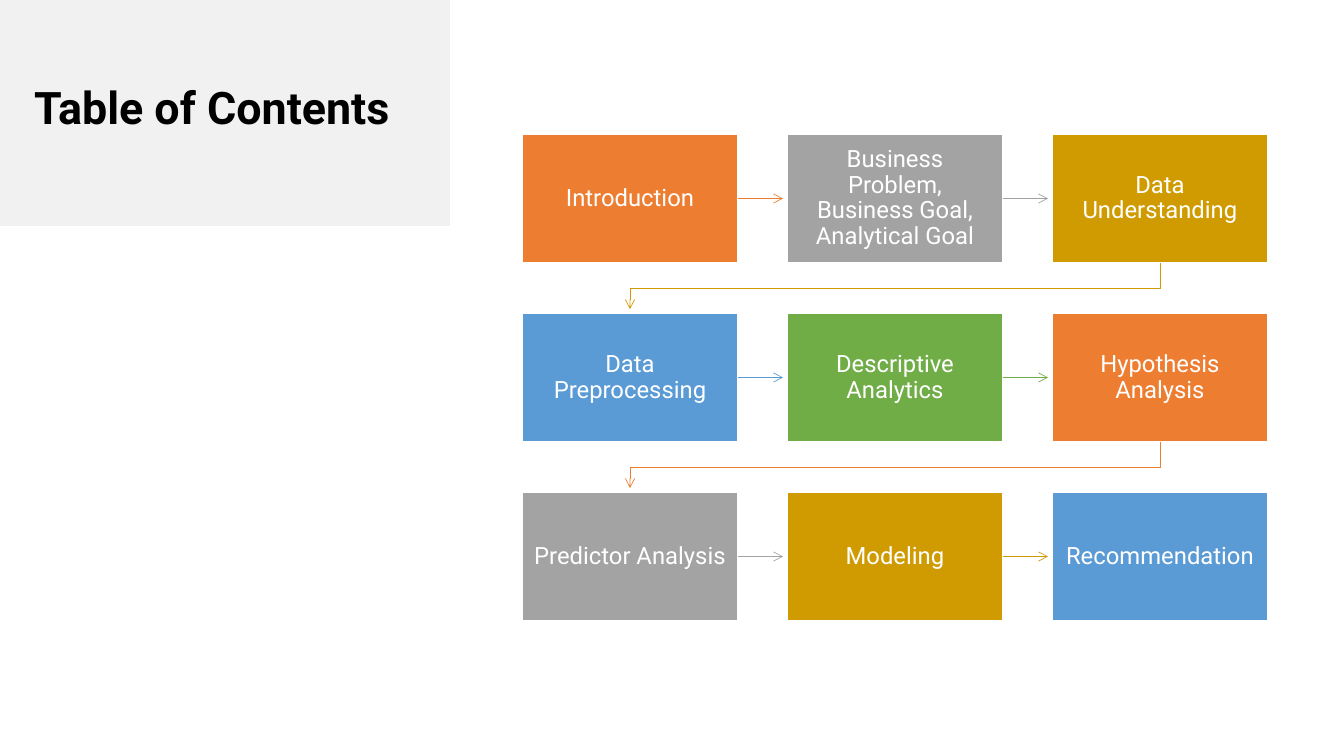
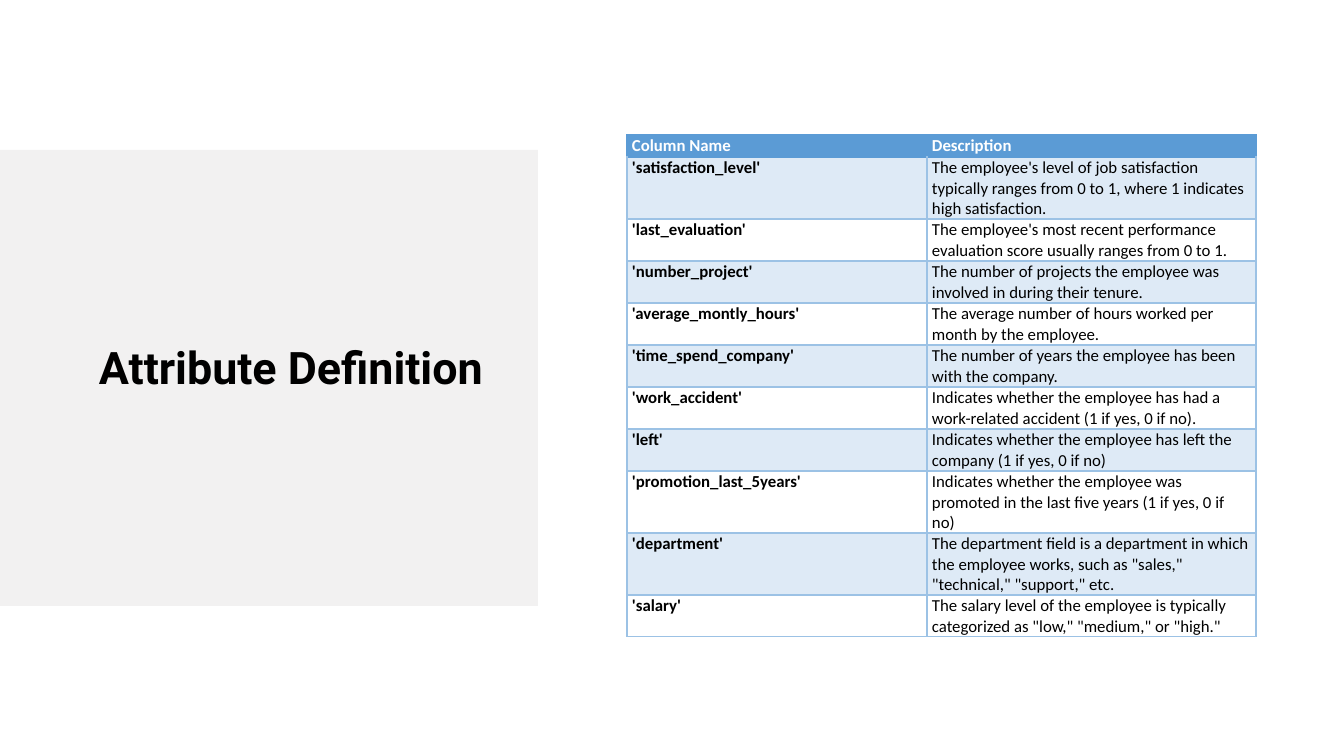
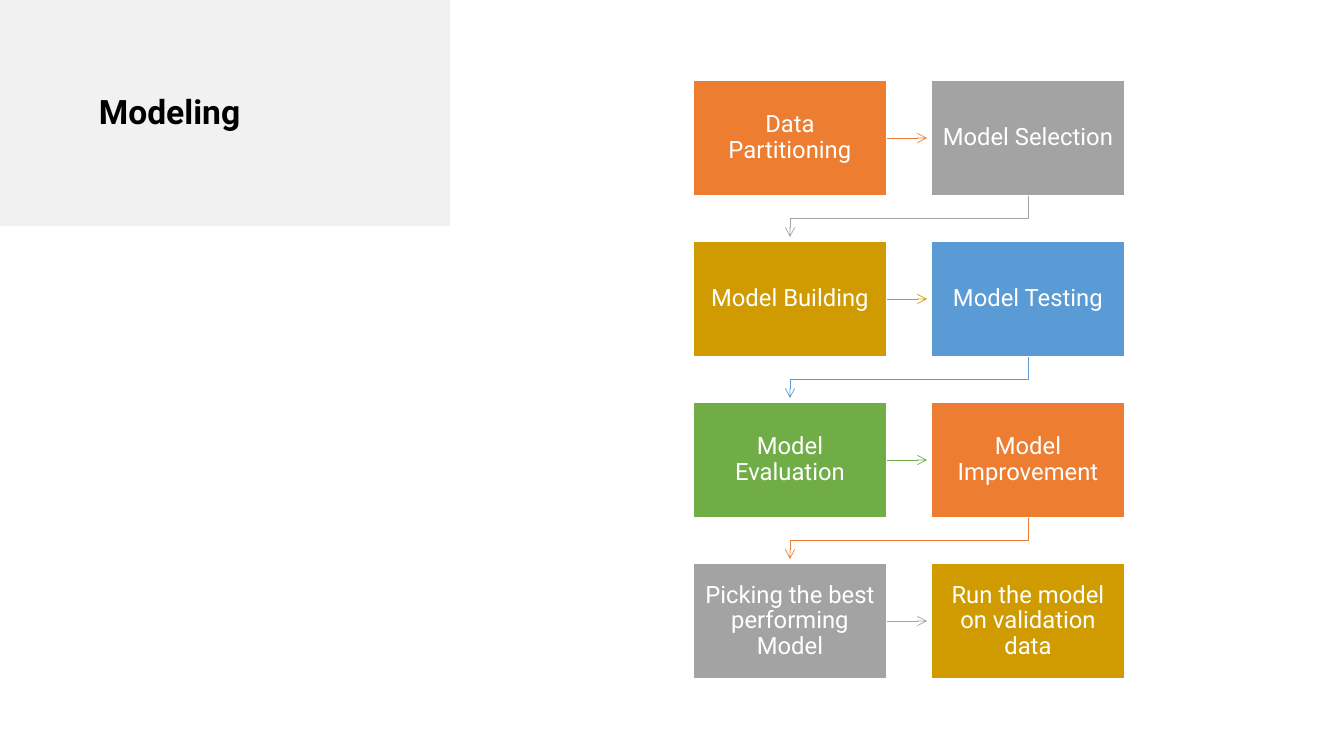
from itertools import cycle

from pptx import Presentation
from pptx.dml.color import RGBColor
from pptx.enum.shapes import MSO_CONNECTOR, MSO_SHAPE
from pptx.enum.text import MSO_ANCHOR, PP_ALIGN
from pptx.oxml.ns import qn
from pptx.util import Pt
from lxml.etree import SubElement

PX = 9071  # EMU per pixel
COLORS = {name: RGBColor.from_string(value) for name, value in {
    "white": "FFFFFF", "black": "000000", "panel": "F2F1F1",
    "orange": "ED7D31", "grey": "A3A3A3", "gold": "CF9B00",
    "blue": "5B9BD5", "green": "70AD47",
    "band": "DEEAF6", "grid": "9CC2E5",
}.items()}
STEP_COLORS = ["orange", "grey", "gold", "blue", "green"]
ARROW_GAP = 4

deck = Presentation()
deck.slide_width, deck.slide_height = 1344 * PX, 756 * PX
blank = deck.slide_layouts[6]


def add_titled_page(title, size, panel, frame, anchor, align=PP_ALIGN.LEFT):
    """Add a page with a grey panel and a bold title; panel and frame are in px."""
    page = deck.slides.add_slide(blank)
    back = page.shapes.add_shape(MSO_SHAPE.RECTANGLE, *[n * PX for n in panel])
    back.shadow.inherit = False
    back.fill.solid()
    back.fill.fore_color.rgb = COLORS["panel"]
    back.line.fill.background()
    box = page.shapes.add_textbox(*[n * PX for n in frame])
    box.text_frame.word_wrap = True
    box.text_frame.vertical_anchor = anchor
    para = box.text_frame.paragraphs[0]
    para.text = title
    para.alignment = align
    para.line_spacing = 0.9
    para.font.name, para.font.size, para.font.bold = "Roboto", Pt(size), True
    para.font.color.rgb = COLORS["black"]
    return page


def style_arrow(arrow, color):
    arrow.line.color.rgb = COLORS[color]
    arrow.line.width = Pt(0.5)
    properties = arrow.element.spPr
    SubElement(properties.find(qn("a:ln")), qn("a:tailEnd"), type="arrow")
    if properties.find(qn("a:effectLst")) is None:
        SubElement(properties, qn("a:effectLst"))


corner = (0, 0, 450, 226)
contents_page = add_titled_page("Table of Contents", 32, corner, (14, 19, 396, 182),
                                MSO_ANCHOR.MIDDLE, PP_ALIGN.CENTER)
attributes_page = add_titled_page("Attribute Definition", 32, (0, 150, 538, 456),
                                  (89, 227, 408, 172), MSO_ANCHOR.BOTTOM)
modeling_page = add_titled_page("Modeling", 24, corner, (89, 39, 316, 149),
                                MSO_ANCHOR.MIDDLE)

# Step flows: page, columns, first corner, box size, pitch, insets, steps
flows = [
    (contents_page, 3, (522, 134), (216, 129), (265, 179), (10, 11), [
        "Introduction", "Business Problem, Business Goal, Analytical Goal",
        "Data Understanding", "Data Preprocessing", "Descriptive Analytics",
        "Hypothesis Analysis", "Predictor Analysis", "Modeling", "Recommendation"]),
    (modeling_page, 2, (693, 80), (194, 116), (238, 161), (9, 10), [
        "Data Partitioning", "Model Selection", "Model Building", "Model Testing",
        "Model Evaluation", "Model Improvement", "Picking the best performing Model",
        "Run the model on validation data"]),
]
for page, columns, (left, top), (width, height), (pitch_x, pitch_y), insets, steps in flows:
    for index, (step, color) in enumerate(zip(steps, cycle(STEP_COLORS))):
        row, column = divmod(index, columns)
        x, y = left + column * pitch_x, top + row * pitch_y
        box = page.shapes.add_shape(MSO_SHAPE.RECTANGLE, x * PX, y * PX,
                                    width * PX, height * PX)
        box.shadow.inherit = False
        box.fill.solid()
        box.fill.fore_color.rgb = COLORS[color]
        box.line.color.rgb = COLORS["white"]
        box.line.width = Pt(1)
        frame = box.text_frame
        frame.word_wrap = True
        frame.vertical_anchor = MSO_ANCHOR.MIDDLE
        frame.margin_left = frame.margin_right = insets[0] * PX
        frame.margin_top = frame.margin_bottom = insets[1] * PX
        para = frame.paragraphs[0]
        para.text = step
        para.alignment = PP_ALIGN.CENTER
        para.line_spacing = 0.9
        para.font.name, para.font.size = "Roboto", Pt(17)
        para.font.color.rgb = COLORS["white"]

        if index == len(steps) - 1:
            continue
        if column < columns - 1:
            middle = (y + height // 2) * PX
            arrow = page.shapes.add_connector(
                MSO_CONNECTOR.STRAIGHT, (x + width) * PX, box.top + box.height // 2,
                (x + pitch_x - ARROW_GAP) * PX, box.top + box.height // 2)
            arrow.begin_connect(box, 3)
        else:
            start_x, end_x = x + width // 2, left + width // 2
            bottom, next_top = y + height, y + pitch_y
            bend = (bottom + next_top) // 2
            outline = page.shapes.build_freeform(start_x, bottom, scale=PX)
            outline.add_line_segments(
                [(start_x, bend), (end_x, bend), (end_x, next_top - ARROW_GAP)], close=False)
            arrow = outline.convert_to_shape()
            arrow.shadow.inherit = False
            arrow.fill.background()
        style_arrow(arrow, color)

# Attribute table: name, description, lines of text
attributes = [
    ("Column Name", "Description", 1),
    ("'satisfaction_level'", "The employee's level of job satisfaction typically ranges "
     "from 0 to 1, where 1 indicates high satisfaction.", 3),
    ("'last_evaluation'", "The employee's most recent performance evaluation score "
     "usually ranges from 0 to 1.", 2),
    ("'number_project'", "The number of projects the employee was involved in during "
     "their tenure.", 2),
    ("'average_montly_hours'", "The average number of hours worked per month by the "
     "employee.", 2),
    ("'time_spend_company'", "The number of years the employee has been with the "
     "company.", 2),
    ("'work_accident'", "Indicates whether the employee has had a work-related accident "
     "(1 if yes, 0 if no).", 2),
    ("'left'", "Indicates whether the employee has left the company (1 if yes, 0 if no)", 2),
    ("'promotion_last_5years'", "Indicates whether the employee was promoted in the last "
     "five years (1 if yes, 0 if no)", 3),
    ("'department'", "The department field is a department in which the employee works, "
     "such as \"sales,\" \"technical,\" \"support,\" etc.", 3),
    ("'salary'", "The salary level of the employee is typically categorized as \"low,\" "
     "\"medium,\" or \"high.\"", 2),
]
column_widths = [300, 329]
row_heights = [2 + 20 * lines for _, _, lines in attributes]
table = attributes_page.shapes.add_table(
    len(attributes), 2, 627 * PX, 135 * PX,
    sum(column_widths) * PX, sum(row_heights) * PX).table
for column, width in zip(table.columns, column_widths):
    column.width = width * PX
for row, (name, description, _) in enumerate(attributes):
    table.rows[row].height = row_heights[row] * PX
    header = row == 0
    fill = "blue" if header else "band" if row % 2 else "white"
    for column, text in enumerate((name, description)):
        cell = table.cell(row, column)
        cell.margin_left = cell.margin_right = 5 * PX
        cell.margin_top, cell.margin_bottom = PX, 0
        properties = cell._tc.get_or_add_tcPr()
        for side in ("lnL", "lnR", "lnT", "lnB"):
            edge = "blue" if header or (row == 1 and side == "lnT") else "grid"
            border = SubElement(properties, qn(f"a:{side}"), w=str(Pt(1)))
            paint = SubElement(border, qn("a:solidFill"))
            SubElement(paint, qn("a:srgbClr"), val=str(COLORS[edge]))
        cell.fill.solid()
        cell.fill.fore_color.rgb = COLORS[fill]
        para = cell.text_frame.paragraphs[0]
        para.text = text
        para.font.name, para.font.size = "Calibri", Pt(12)
        para.font.bold = header or column == 0
        para.font.color.rgb = COLORS["white" if header else "black"]

deck.save("out.pptx")
